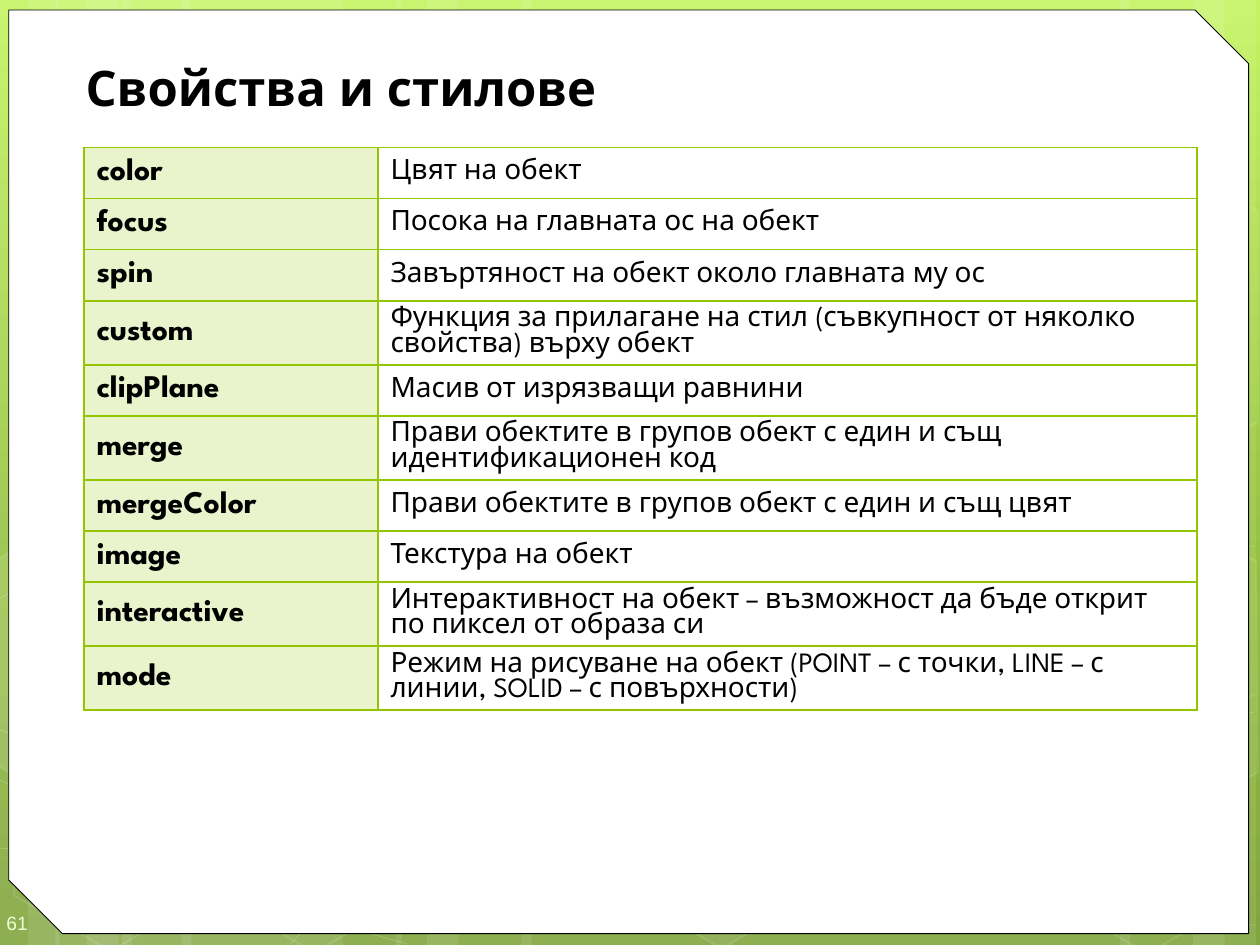
from pptx import Presentation
from pptx.dml.color import RGBColor
from pptx.enum.shapes import MSO_SHAPE as SHAPE
from pptx.enum.text import MSO_ANCHOR as ANCHOR, MSO_AUTO_SIZE as AUTO, PP_ALIGN as ALIGN
from pptx.oxml.ns import qn
from pptx.util import Inches, Pt
from lxml import etree

FONT = "League Spartan"
WHITE, BLACK, GREEN = "FFFFFF", "000000", "94C600"
BACKGROUND = [(0, "C3F35F"), (62, "93BF3F"), (100, "81A53E")]
UNITS = 100  # outline units per inch

# Vertical light bands: left, width
BANDS = [(0.97, 1.75), (-0.03, 0.5), (0.22, 0.83), (1.44, 1.75), (0.44, 0.5), (0.69, 0.83),
         (7.22, 1.75), (9.47, 0.5), (8.89, 0.83), (4.14, 3.08), (3.14, 0.5), (3.39, 0.83)]

# Each curve: start point, then Bezier segments (two handles and an end) or straight ends
CURVES = [
    [(-0.04, 6.73), (0.5, 6.76, 1.04, 6.79, 1.79, 6.78), (2.54, 6.77, 3.46, 6.75, 4.47, 6.65),
     (5.47, 6.55, 6.89, 6.36, 7.8, 6.17), (8.72, 5.98, 9.66, 5.68, 9.96, 5.51)],
    [(-0.04, 4.77), (0.25, 4.61, 0.54, 4.46, 1.1, 4.31), (1.67, 4.16, 2.47, 3.94, 3.36, 3.87),
     (4.25, 3.8, 5.33, 3.79, 6.43, 3.87), (7.53, 3.95, 9.36, 4.26, 9.96, 4.34)],
    [(-0.05, 6.17), (1.15, 6.72, 2.36, 7.27, 3.23, 7.49)],
    [(-0.04, 5.78), (0.27, 5.89, 0.59, 6, 1.17, 6.16), (1.75, 6.31, 2.62, 6.56, 3.45, 6.73),
     (4.29, 6.9, 5.34, 7.08, 6.17, 7.18), (6.99, 7.29, 7.89, 7.33, 8.41, 7.36),
     (8.94, 7.4, 9.08, 7.38, 9.34, 7.38), (9.59, 7.37, 9.78, 7.35, 9.96, 7.34)],
    [(2.31, 7.49), (2.49, 7.29, 2.67, 7.09, 2.91, 6.91), (3.15, 6.73, 3.49, 6.53, 3.76, 6.39),
     (4.04, 6.25, 4.22, 6.19, 4.58, 6.09), (4.95, 5.99, 5.62, 5.85, 5.97, 5.78),
     (6.32, 5.71, 6.38, 5.71, 6.69, 5.69), (7, 5.66, 7.49, 5.63, 7.83, 5.62),
     (8.17, 5.61, 8.75, 5.62, 8.75, 5.62), (9.41, 5.62),
     (9.6, 5.63, 9.77, 5.64, 9.86, 5.65), (9.94, 5.66, 9.91, 5.65, 9.95, 5.66)],
]

# Hexagons along the bottom edge: left, top, fill opacity
HEXAGONS = [(4.85, 5.89, 6), (0, 5.91, None), (1.62, 5.92, None), (8.23, 5.93, None)]

# Hexagons cut by the slide sides: points, fill opacity
CUT_HEXAGONS = [
    ([(-0.03, 4.45), (0.08, 4.38), (0.85, 4.82), (0.84, 5.7), (0.09, 6.14), (-0.03, 6.07)], 10),
    ([(9.15, 4.85), (9.9, 4.41), (9.97, 4.46), (9.98, 6.13), (9.91, 6.17), (9.14, 5.73)], 4),
    ([(9.15, 2.07), (9.9, 1.63), (9.98, 1.68), (9.98, 3.35), (9.91, 3.39), (9.14, 2.95)], None),
]

PROPERTIES = [
    ("color", "Цвят на обект"),
    ("focus", "Посока на главната ос на обект"),
    ("spin", "Завъртяност на обект около главната му ос"),
    ("custom", "Функция за прилагане на стил (съвкупност от няколко свойства) върху обект"),
    ("clipPlane", "Масив от изрязващи равнини"),
    ("merge", "Прави обектите в групов обект с един и същ идентификационен код"),
    ("mergeColor", "Прави обектите в групов обект с един и същ цвят"),
    ("image", "Текстура на обект"),
    ("interactive", "Интерактивност на обект – възможност да бъде открит по пиксел от образа си"),
    ("mode", "Режим на рисуване на обект (POINT – с точки, LINE – с линии, SOLID – с повърхности)"),
]


def set_color(fill, color, opacity=None):
    fill.solid()
    fill.fore_color.rgb = RGBColor.from_string(color)
    if opacity is not None:
        clr = fill._xPr.find(".//" + qn("a:srgbClr"))
        etree.SubElement(clr, qn("a:alpha"), val=str(opacity * 1000))


def set_attrs(obj, values):
    for name, value in values.items():
        setattr(obj, name, value)


def style(sp, fill=None, opacity=None, line=None, width=1, line_opacity=None):
    sp.shadow.inherit = False
    if fill:
        set_color(sp.fill, fill, opacity)
    else:
        sp.fill.background()
    if line:
        set_color(sp.line.fill, line, line_opacity)
        sp.line.width = Pt(width)
    else:
        sp.line.fill.background()


def add_shape(s, kind, box, adjust=(), **look):
    sp = s.shapes.add_shape(kind, *map(Inches, box))
    for i, value in enumerate(adjust):
        sp.adjustments[i] = value
    style(sp, **look)
    return sp


def add_outline(s, points, close, **look):
    points = [(x * UNITS, y * UNITS) for x, y in points]
    fb = s.shapes.build_freeform(*points[0], scale=Inches(1) / UNITS)
    fb.add_line_segments(points[1:], close=close)
    sp = fb.convert_to_shape()
    style(sp, **look)
    return sp


def add_curve(s, start, segments, **look):
    ends = [start] + [seg[-2:] for seg in segments]
    sp = add_outline(s, ends, False, **look)
    left, top = (min(values) for values in zip(*ends))
    # Turn the straight segments that have handles into Bezier ones
    for ln, seg in zip(list(sp._element.iter(qn("a:lnTo"))), segments):
        if len(seg) == 6:
            ln.tag = qn("a:cubicBezTo")
            for i, (x, y) in enumerate((seg[:2], seg[2:4])):
                pt = etree.Element(qn("a:pt"), x=str(round((x - left) * UNITS)),
                                   y=str(round((y - top) * UNITS)))
                ln.insert(i, pt)


def write(tf, text, color=BLACK, **font):
    p = tf.paragraphs[0]
    r = p.add_run()
    r.text = text
    set_attrs(r.font, font)
    set_color(r.font.fill, color)
    return p


def add_background(s):
    fill = s.background.fill
    fill.gradient()
    fill.gradient_angle = 270
    stops = s.element.find(".//" + qn("a:gsLst"))
    for old in list(stops):
        stops.remove(old)
    for pos, color in BACKGROUND:
        gs = etree.SubElement(stops, qn("a:gs"), pos=str(pos * 1000))
        etree.SubElement(gs, qn("a:srgbClr"), val=color)


def add_decoration(s):
    for left, width in BANDS:
        add_shape(s, SHAPE.RECTANGLE, (left, 0, width, 7.5), fill=WHITE, opacity=10)
    for start, *segments in CURVES:
        add_curve(s, start, segments, line=WHITE, width=0.5, line_opacity=20)
    edge = {"line": WHITE, "line_opacity": 12}
    for left, top, opacity in HEXAGONS:
        sp = add_shape(s, SHAPE.HEXAGON, (left, top, 1.75, 1.52), [0.285],
                       fill=opacity and WHITE, opacity=opacity, **edge)
        sp.rotation = 30
    for points, opacity in CUT_HEXAGONS:
        add_outline(s, points, True, fill=opacity and WHITE, opacity=opacity, **edge)


def add_title(s, text):
    sp = s.shapes.title
    s.shapes._spTree.append(sp._element)  # bring in front of the panel
    set_attrs(sp, dict(left=Inches(0.5), top=Inches(0.41), width=Inches(9.42), height=Inches(7.01)))
    set_attrs(sp.text_frame, dict(vertical_anchor=ANCHOR.TOP, auto_size=AUTO.NONE, word_wrap=True))
    p = write(sp.text_frame, text, name=FONT, size=Pt(28), bold=True)
    p.alignment = ALIGN.LEFT
    p._p.get_or_add_pPr().set("marL", str(Inches(0.08)))


def add_page_number(s, text):
    tf = s.shapes.add_textbox(*map(Inches, (0, 7.1, 0.58, 0.4))).text_frame
    set_attrs(tf, dict(word_wrap=True, vertical_anchor=ANCHOR.MIDDLE, margin_left=Inches(0.05),
                       margin_top=Inches(0.15), margin_right=0, margin_bottom=Inches(0.1)))
    write(tf, text, "EEFFD6", name="Arial", size=Pt(11))


def add_borders(cell, color):
    tcPr = cell._tc.get_or_add_tcPr()
    for i, side in enumerate(("lnL", "lnR", "lnT", "lnB")):
        ln = etree.Element(qn("a:" + side), w=str(Pt(1)))
        solid = etree.SubElement(ln, qn("a:solidFill"))
        etree.SubElement(solid, qn("a:srgbClr"), val=color)
        tcPr.insert(i, ln)


def add_property_table(s, rows):
    height, widths = 4.06, (7 / 3, 6.5)
    box = map(Inches, (2 / 3, 1.17, sum(widths), height))
    table = s.shapes.add_table(len(rows), 2, *box).table
    set_attrs(table, dict(first_row=False, horz_banding=False))
    for col, width in zip(table.columns, widths):
        col.width = Inches(width)
    for row, texts in zip(table.rows, rows):
        row.height = Inches(height / len(rows))
        name, meaning = row.cells
        set_color(name.fill, GREEN, 20)
        meaning.fill.background()
        for cell, text, size, bold in zip((name, meaning), texts, (18, 16), (True, False)):
            cell.vertical_anchor = ANCHOR.MIDDLE
            write(cell.text_frame, text, name=FONT, size=Pt(size), bold=bold)
            add_borders(cell, GREEN)


def main():
    prs = Presentation()
    set_attrs(prs, dict(slide_width=Inches(10), slide_height=Inches(7.5)))
    s = prs.slides.add_slide(prs.slide_layouts[5])
    # Backdrop and white panel
    add_background(s)
    add_decoration(s)
    add_shape(s, SHAPE.SNIP_2_DIAG_RECTANGLE, (0.07, 0.08, 9.84, 7.33), [0, 0.058],
              fill=WHITE, line=BLACK, width=0.5)
    # Content
    add_page_number(s, "61")
    add_title(s, "Свойства и стилове")
    add_property_table(s, PROPERTIES)
    prs.save("out.pptx")


if __name__ == "__main__":
    main()
